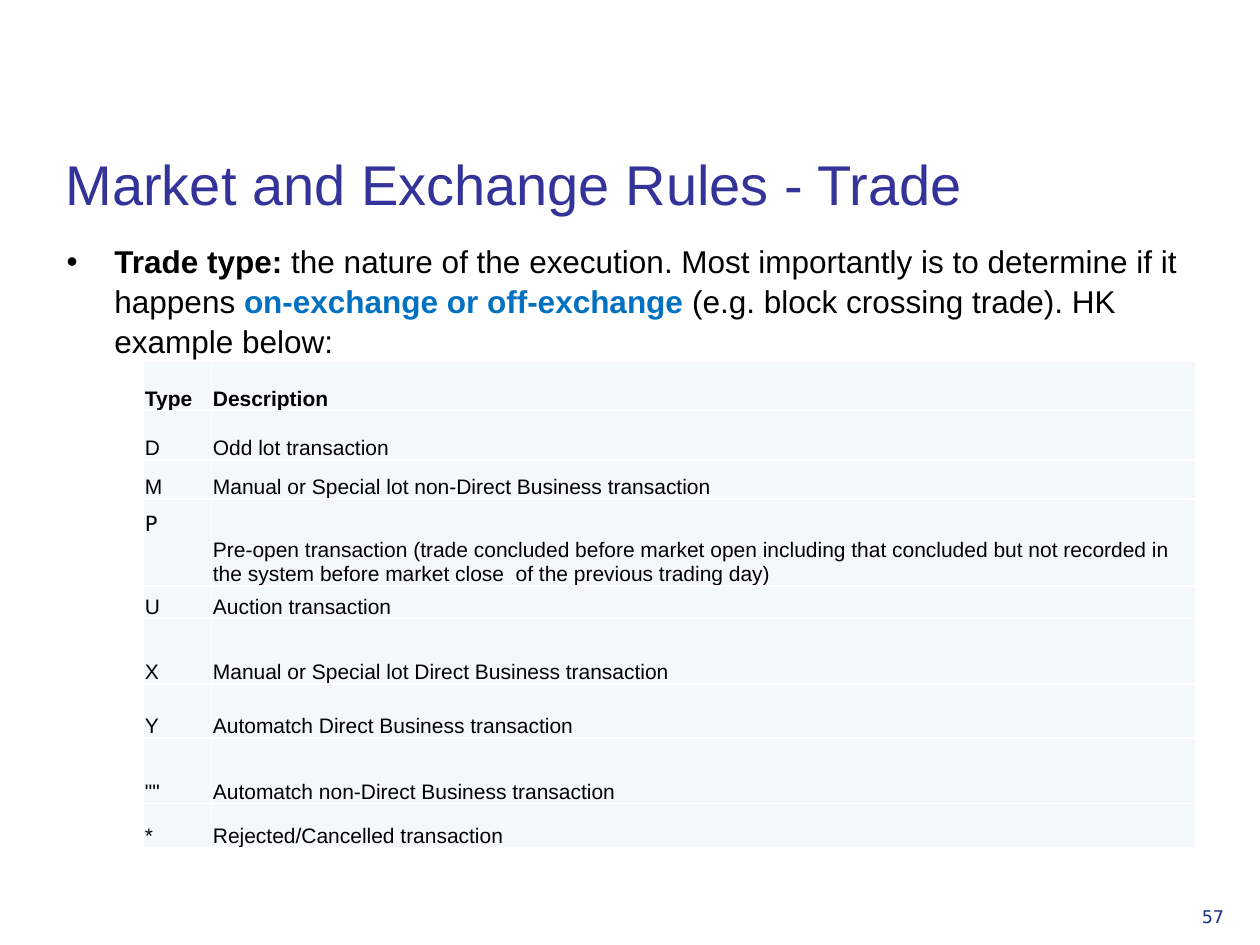
from pptx import Presentation
from pptx import util as u
from pptx.dml.color import RGBColor
from pptx.enum import text
from pptx.oxml.ns import qn
from lxml import etree

TITLE = "Market and Exchange Rules - Trade"
BODY = [
    ("Trade type: ", {"bold": True}),
    ("the nature of the execution. Most importantly is to determine if it happens ", {}),
    ("on-exchange or off-exchange ", {"bold": True, "color": "0070C0"}),
    ("(e.g. block crossing trade). HK example below:", {}),
]
ROWS = [
    (0.39, "Type", "Description"),
    (0.39, "D", "Odd lot transaction"),
    (0.31, "M", "Manual or Special lot non-Direct Business transaction"),
    (0.69, "P", "Pre-open transaction (trade concluded before market open including that "
                "concluded but not recorded in the system before market close  of the "
                "previous trading day)"),
    (0.26, "U", "Auction transaction"),
    (0.52, "X", "Manual or Special lot Direct Business transaction"),
    (0.43, "Y", "Automatch Direct Business transaction"),
    (0.52, '""', "Automatch non-Direct Business transaction"),
    (0.35, "*", "Rejected/Cancelled transaction"),
]
COL_WIDTHS = (0.54, 7.81)
PAGE = "57"


def rgb(value):
    return RGBColor.from_string(value)


def write(p, words, size=12, font="Arial", color="000000", bold=False):
    r = p.add_run()
    r.text = words
    r.font.size = u.Pt(size)
    r.font.name = font
    r.font.bold = bold
    r.font.color.rgb = rgb(color)


def place(sp, left, top, width, height):
    sp.left, sp.top, sp.width, sp.height = map(u.Inches, (left, top, width, height))


def add_text(s, left, top, width, height):
    sp = s.shapes.add_textbox(*map(u.Inches, (left, top, width, height)))
    sp.text_frame.word_wrap = True
    return sp.text_frame.paragraphs[0]


def add_bullet(p, indent):
    pPr = p._p.get_or_add_pPr()
    pPr.set("marL", str(u.Inches(indent)))
    pPr.set("indent", str(-u.Inches(indent)))
    etree.SubElement(pPr, qn("a:buFont")).set("typeface", "Arial")
    etree.SubElement(pPr, qn("a:buChar")).set("char", "•")


def set_borders(cell, color, width):
    tcPr = cell._tc.get_or_add_tcPr()
    for i, side in enumerate(("lnL", "lnR", "lnT", "lnB")):
        ln = etree.Element(qn(f"a:{side}"), w=str(u.Pt(width)))
        fill = etree.SubElement(ln, qn("a:solidFill"))
        etree.SubElement(fill, qn("a:srgbClr")).set("val", color)
        tcPr.insert(i, ln)


def add_trade_table(s, left, top):
    heights = [row[0] for row in ROWS]
    frame = s.shapes.add_table(len(ROWS), len(COL_WIDTHS), u.Inches(left), u.Inches(top),
                               u.Inches(sum(COL_WIDTHS)), u.Inches(sum(heights)))
    table = frame.table
    for col, width in zip(table.columns, COL_WIDTHS):
        col.width = u.Inches(width)
    for i, (height, *words) in enumerate(ROWS):
        table.rows[i].height = u.Inches(height)
        for j, label in enumerate(words):
            cell = table.cell(i, j)
            raised = label == "P"
            cell.margin_left = cell.margin_right = u.Inches(0.01)
            cell.margin_top = u.Inches(0.1 if raised else 0.01)
            cell.margin_bottom = 0
            cell.vertical_anchor = text.MSO_ANCHOR.TOP if raised else text.MSO_ANCHOR.BOTTOM
            cell.fill.solid()
            cell.fill.fore_color.rgb = rgb("F3F9FA")
            set_borders(cell, "FFFFFF", 1)
            write(cell.text_frame.paragraphs[0], label, bold=i == 0,
                  font="DejaVu Sans" if raised else "Arial")


def main():
    prs = Presentation()
    prs.slide_width, prs.slide_height = u.Inches(10), u.Inches(7.5)
    s = prs.slides.add_slide(prs.slide_layouts[5])

    title = s.shapes.title
    place(title, 0.42, 0.68, 8.83, 1.09)
    tf = title.text_frame
    tf.vertical_anchor = text.MSO_ANCHOR.BOTTOM
    tf.paragraphs[0].alignment = text.PP_ALIGN.LEFT
    write(tf.paragraphs[0], TITLE, size=32, color="333399")

    p = add_text(s, 0.43, 1.86, 9.29, 0.87)
    p.line_spacing = 1.05
    add_bullet(p, 0.38)
    for words, style in BODY:
        write(p, words, size=18, **style)

    p = add_text(s, 9.44, 7.14, 0.55, 0.39)
    write(p, PAGE, size=10, font="DejaVu Sans", color="152E82")

    add_trade_table(s, 1.14, 2.87)
    prs.save("out.pptx")


if __name__ == "__main__":
    main()
